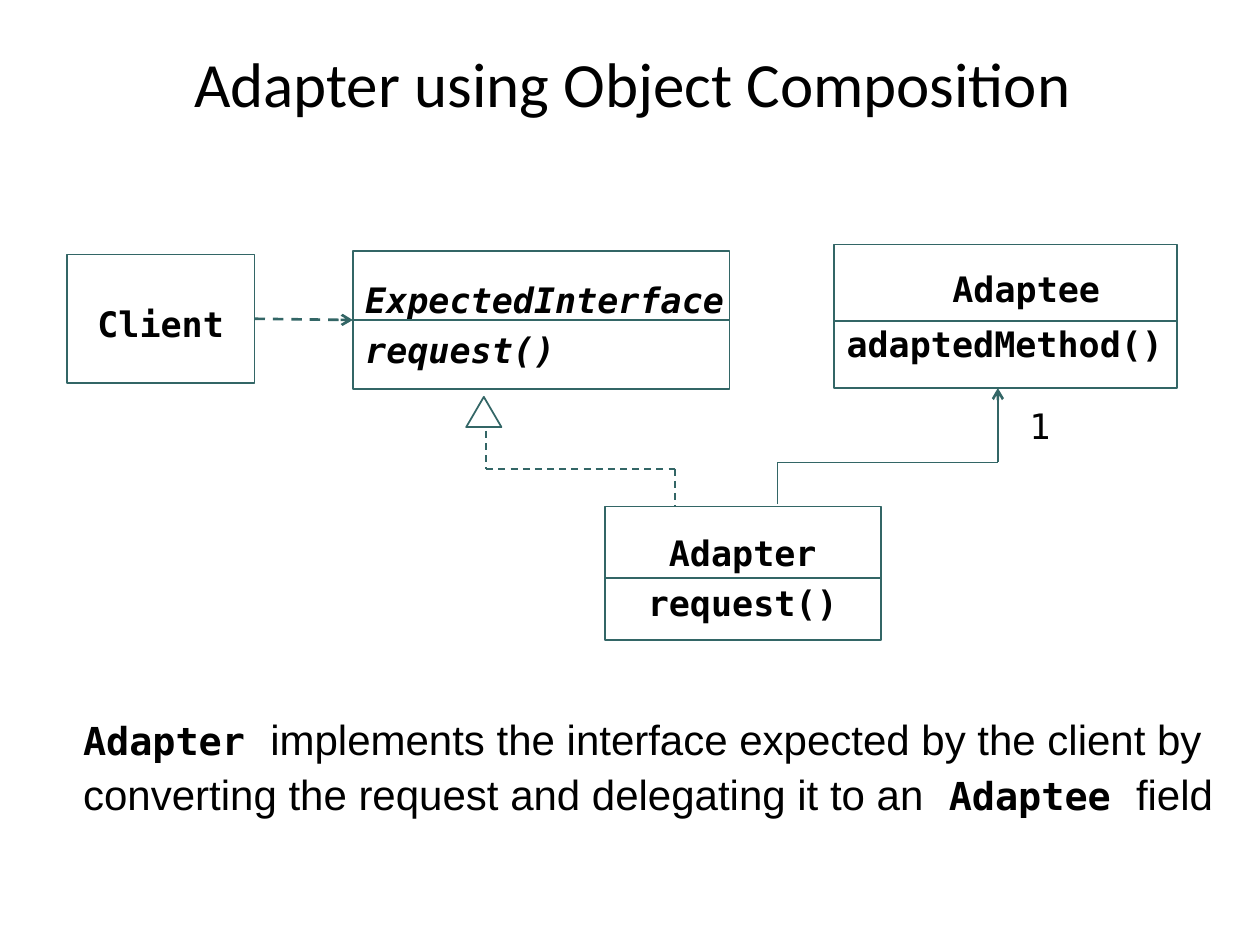
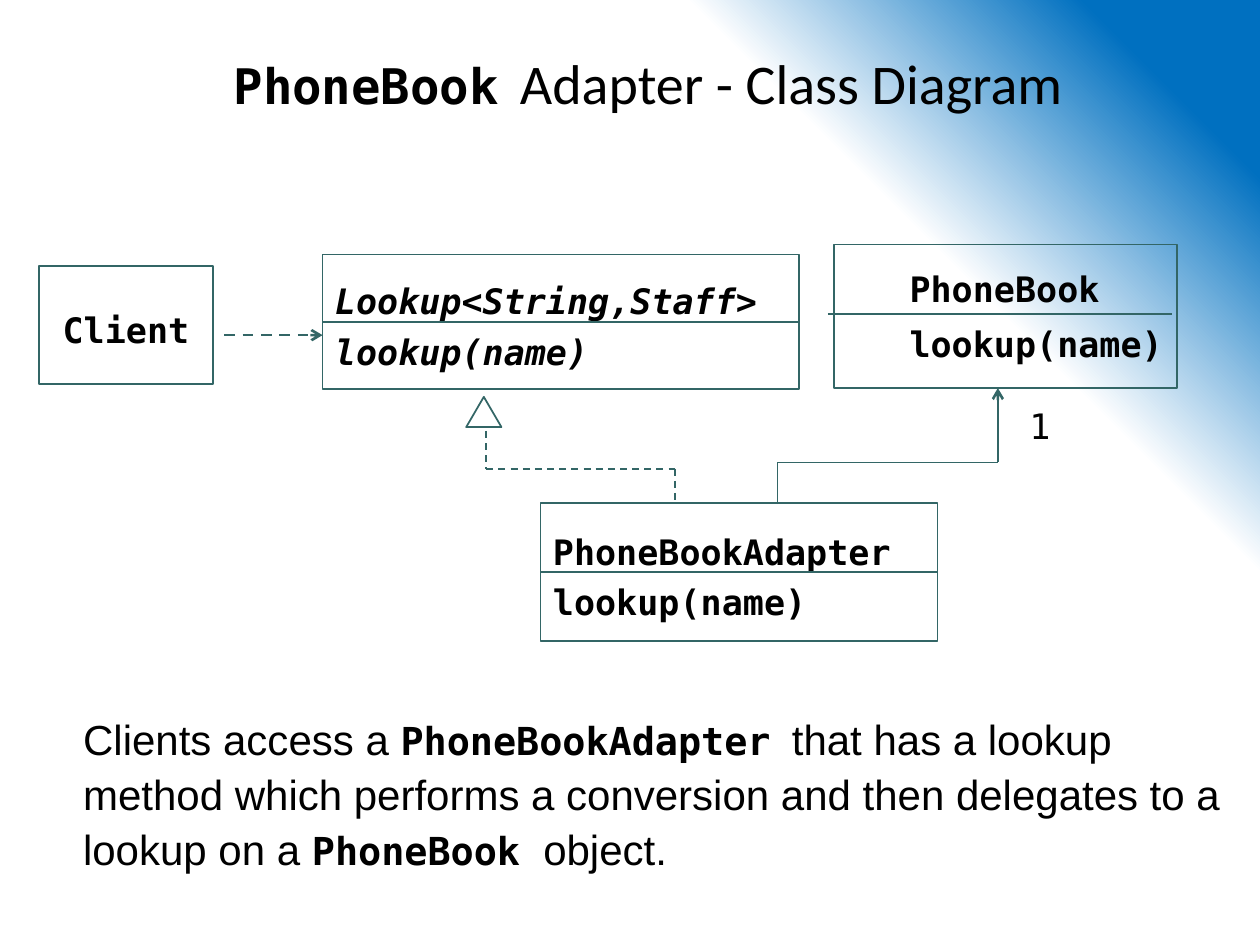
from lxml import etree
from pptx import Presentation
from pptx.dml.color import RGBColor
from pptx.enum.dml import MSO_LINE
from pptx.enum.shapes import MSO_CONNECTOR, MSO_SHAPE
from pptx.enum.text import MSO_ANCHOR, MSO_AUTO_SIZE, PP_ALIGN
from pptx.oxml.ns import qn
from pptx.util import Inches, Pt

STRAIGHT = MSO_CONNECTOR.STRAIGHT
DASH = MSO_LINE.DASH
RECTANGLE, TRIANGLE = MSO_SHAPE.RECTANGLE, MSO_SHAPE.ISOSCELES_TRIANGLE
MIDDLE = MSO_ANCHOR.MIDDLE
NO_FIT, GROW = MSO_AUTO_SIZE.NONE, MSO_AUTO_SIZE.SHAPE_TO_FIT_TEXT
LEFT, CENTER = PP_ALIGN.LEFT, PP_ALIGN.CENTER
LEFT_SIDE, RIGHT_SIDE = 1, 3

COLORS = {"text": "000000", "line": "336666", "paper": "FFFFFF", "glow": "0070C0"}
MONO, SPACER, BODY, HEADING = "DejaVu Sans Mono", "Noto Sans Mono", "Arial", "Calibri"
ADAPTEE_PLACE = (6.62, 1.94, 2.72, 1.14)

SLIDES = [
    {
        "title": [("Adapter using Object Composition", HEADING, 36, False)],
        "title_right_inset": 0.35,
        "glow": False,
        "classes": {
            "client": ((0.53, 2.02, 1.49, 1.02), CENTER, False, [("Client", 1.2)], 0),
            "interface": ((2.8, 1.99, 2.99, 1.1), LEFT, True,
                          [("ExpectedInterface", 1.2), ("request()", 1.2)], 0),
            "adaptee": (ADAPTEE_PLACE, LEFT, False,
                        [("Adaptee", 1.0), ("adaptedMethod()", 1.3)], (0.84, 0)),
            "adapter": ((4.8, 4.02, 2.19, 1.06), CENTER, False,
                        [("Adapter", 1.2), ("request()", 1.2)], 0),
        },
        "joined_dividers": ["interface"],
        "free_dividers": [(6.62, 9.34, 2.55), (4.8, 6.99, 4.59)],
        "usage": None,
        "summary_height": 0.97,
        "summary": [
            ("Adapter", MONO, 22, True),
            (" ", SPACER, 24, False),
            ("implements the interface expected by the client by converting "
             "the request and delegating it to an", BODY, 24, False),
            (" ", SPACER, 24, False),
            ("Adaptee", MONO, 22, True),
            (" ", SPACER, 24, False),
            ("field", BODY, 24, False),
        ],
    },
    {
        "title": [("PhoneBook", MONO, 28, True), (" ", MONO, 20, True),
                  ("Adapter - Class Diagram", HEADING, 32, False)],
        "title_right_inset": 0.1,
        "glow": True,
        "classes": {
            "client": ((0.31, 2.11, 1.38, 0.94), CENTER, False, [("Client", 1.2)], 0),
            "interface": ((2.56, 2.02, 3.78, 1.07), LEFT, True,
                          [("Lookup<String,Staff>", 1.2), ("lookup(name)", 1.2)], 0),
            "adaptee": (ADAPTEE_PLACE, LEFT, False,
                        [("PhoneBook", 1.0), ("lookup(name)", 1.3)], (0.5, 0.5)),
            "adapter": ((4.29, 3.99, 3.15, 1.1), LEFT, False,
                        [("PhoneBookAdapter", 1.2), ("lookup(name)", 1.2)], 0),
        },
        "joined_dividers": ["interface", "adapter"],
        "free_dividers": [(6.57, 9.3, 2.49)],
        "usage": (1.78, 2.66, 2.56, 2.66),
        "summary_height": 1.44,
        "summary": [
            ("Clients access a ", BODY, 24, False),
            ("PhoneBookAdapter", MONO, 22, True),
            (" ", MONO, 20, True),
            ("that has a lookup method which performs a conversion and then "
             "delegates to a lookup on a ", BODY, 24, False),
            ("PhoneBook ", MONO, 22, True),
            ("object.", BODY, 24, False),
        ],
    },
]


def add_spans(para, spans, italic=False):
    for text, font, size, bold in spans:
        span = para.add_run()
        span.text = text
        span.font.name = font
        span.font.size = Pt(size)
        span.font.bold = bold
        span.font.italic = italic
        span.font.color.rgb = RGBColor.from_string(COLORS["text"])


def add_line(page, ends, width=1, dashed=False, arrow=False):
    line = page.shapes.add_connector(STRAIGHT, *[Inches(value) for value in ends])
    line.line.color.rgb = RGBColor.from_string(COLORS["line"])
    line.line.width = Pt(width)
    if dashed:
        line.line.dash_style = DASH
    if arrow:
        etree.SubElement(line.line._get_or_add_ln(), qn("a:tailEnd"), type="arrow")
    etree.SubElement(line._element.spPr, qn("a:effectLst"))
    return line


deck = Presentation()
deck.slide_width, deck.slide_height = Inches(10), Inches(7.5)

for content in SLIDES:
    page = deck.slides.add_slide(deck.slide_layouts[5])
    fill = page.background.fill
    if content["glow"]:
        fill.gradient()
        stops = fill._fill._gradFill.find(qn("a:gsLst"))
        for stop in list(stops):
            stops.remove(stop)
        for position, color in ((0, "glow"), (8, "glow"), (26, "paper")):
            stop = etree.SubElement(stops, qn("a:gs"), pos=str(position * 1000))
            etree.SubElement(stop, qn("a:srgbClr"), val=COLORS[color])
        fill.gradient_angle = 225
    else:
        fill.solid()
        fill.fore_color.rgb = RGBColor.from_string(COLORS["paper"])

    title = page.shapes.title
    title.left, title.top = Inches(0.54), Inches(0.23)
    title.width, title.height = Inches(9.21), Inches(0.84)
    frame = title.text_frame
    frame.auto_size = NO_FIT
    frame.vertical_anchor = MIDDLE
    frame.margin_right = Inches(content["title_right_inset"])
    frame.paragraphs[0].alignment = CENTER
    add_spans(frame.paragraphs[0], content["title"])

    boxes = {}
    for name, (place, align, italic, rows, indents) in content["classes"].items():
        box = page.shapes.add_shape(RECTANGLE, *[Inches(value) for value in place])
        box.shadow.inherit = False
        box.fill.background()
        box.line.color.rgb = RGBColor.from_string(COLORS["line"])
        box.line.width = Pt(1)
        frame = box.text_frame
        frame.word_wrap = True
        frame.vertical_anchor = MIDDLE
        if align == LEFT:
            frame.margin_right = 0
        for index, (text, spacing) in enumerate(rows):
            para = frame.paragraphs[0] if index == 0 else frame.add_paragraph()
            para.alignment = align
            para.line_spacing = spacing
            if indents:
                para._p.get_or_add_pPr().set("marL", str(Inches(indents[index])))
            add_spans(para, [(text, MONO, 20, True)], italic)
        boxes[name] = box

    for name in content["joined_dividers"]:
        divider = add_line(page, (0, 0, 1, 1))
        divider.begin_connect(boxes[name], LEFT_SIDE)
        divider.end_connect(boxes[name], RIGHT_SIDE)
    for start, end, level in content["free_dividers"]:
        add_line(page, (start, level, end, level))

    usage = add_line(page, content["usage"] or (2, 2.5, 2.8, 2.5), 1.5, True, True)
    if not content["usage"]:
        usage.begin_connect(boxes["client"], RIGHT_SIDE)
        usage.end_connect(boxes["interface"], LEFT_SIDE)

    head = page.shapes.add_shape(
        TRIANGLE, Inches(3.7), Inches(3.15), Inches(0.28), Inches(0.24))
    head.shadow.inherit = False
    head.fill.background()
    head.line.color.rgb = RGBColor.from_string(COLORS["line"])
    head.line.width = Pt(1)
    adapter_top = content["classes"]["adapter"][0][1]
    for ends in ((3.86, 3.42, 3.86, 3.72), (3.86, 3.72, 5.36, 3.72),
                 (5.36, 3.72, 5.36, adapter_top)):
        add_line(page, ends, dashed=True)

    add_line(page, (6.17, 4, 6.17, 3.67))
    add_line(page, (6.17, 3.67, 7.92, 3.67))
    add_line(page, (7.92, 3.67, 7.92, 3.08), 1.5, arrow=True)

    count = page.shapes.add_textbox(
        Inches(8.17), Inches(3.11), Inches(0.16), Inches(0.44))
    frame = count.text_frame
    frame.margin_left = frame.margin_right = frame.margin_top = frame.margin_bottom = 0
    frame.word_wrap = False
    frame.auto_size = GROW
    para = frame.paragraphs[0]
    para.alignment = CENTER
    para.line_spacing = 1.3
    add_spans(para, [("1", MONO, 20, False)])

    summary = page.shapes.add_textbox(
        Inches(0.55), Inches(5.56), Inches(9.33), Inches(content["summary_height"]))
    frame = summary.text_frame
    frame.margin_left = frame.margin_right = Inches(0.11)
    frame.margin_top = frame.margin_bottom = Inches(0.06)
    frame.word_wrap = True
    frame.auto_size = GROW
    para = frame.paragraphs[0]
    para.line_spacing = 1.1
    para.space_before = Pt(5)
    add_spans(para, content["summary"])

deck.save("out.pptx")
